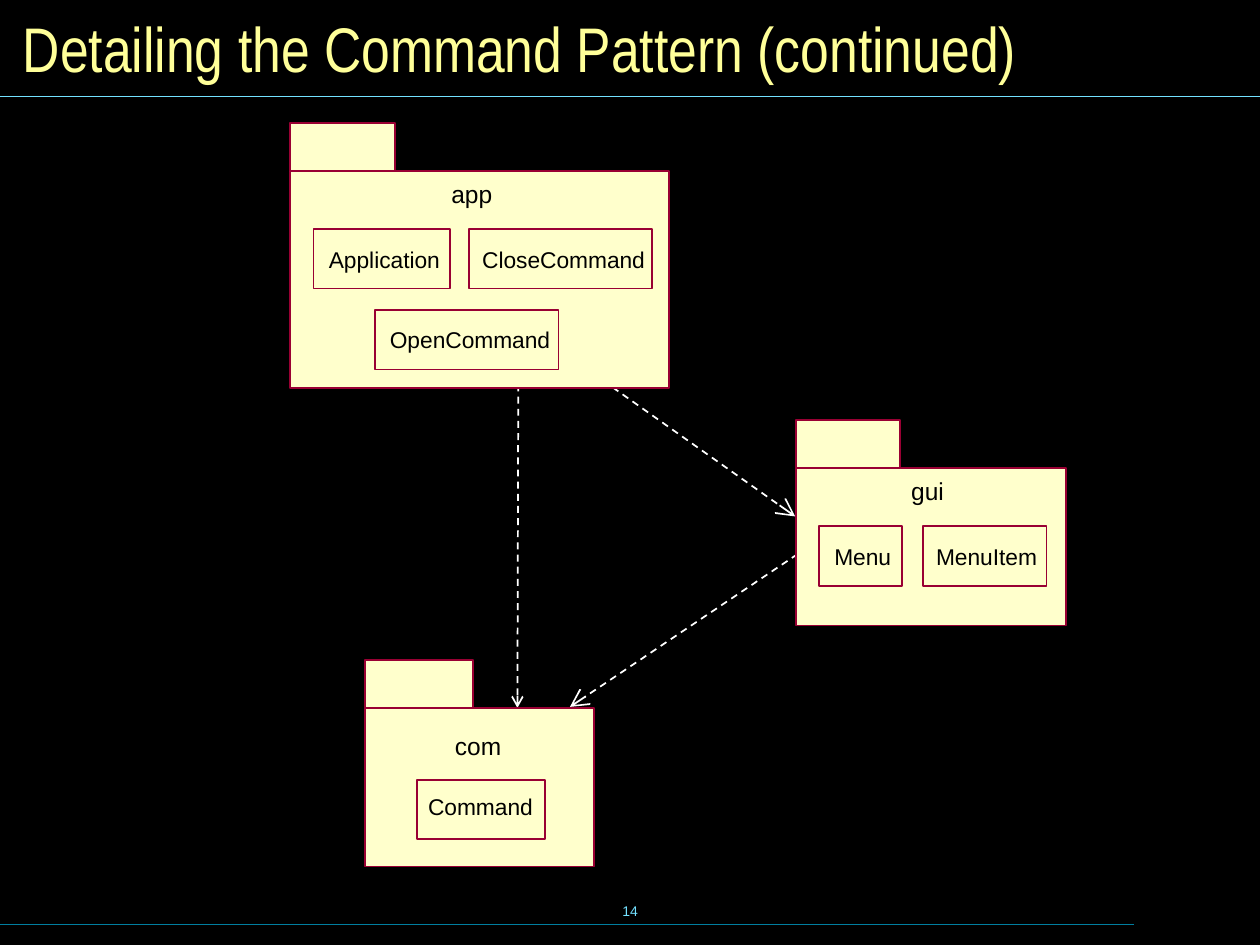
from dataclasses import dataclass

import pptx
import pptx.dml.color
import pptx.enum.dml
import pptx.enum.shapes
import pptx.enum.text
import pptx.oxml
import pptx.oxml.ns
import pptx.util

Cm, Pt = pptx.util.Cm, pptx.util.Pt
RGB = pptx.dml.color.RGBColor.from_string
RECT = pptx.enum.shapes.MSO_SHAPE.RECTANGLE
ALIGN = pptx.enum.text.PP_ALIGN
ANCHOR = pptx.enum.text.MSO_ANCHOR
AUTO = pptx.enum.text.MSO_AUTO_SIZE


@dataclass(frozen=True)
class Theme:
    back: str = "000000"
    title: str = "FFFF99"
    rule: str = "73E1FF"
    foot: str = "007E9F"
    arrow: str = "FFFFFF"
    fill: str = "FFFFCC"
    edge: str = "990033"
    ink: str = "000000"
    font: str = "Arial"
    narrow: str = "Arial Narrow"
    head: int = 36
    pack: int = 14
    item: int = 13
    page: int = 8


theme = Theme()
deck = pptx.Presentation()
deck.slide_width, deck.slide_height = Cm(25.4), Cm(19.05)
slide = deck.slides.add_slide(deck.slide_layouts[6])
slide.background.fill.solid()
slide.background.fill.fore_color.rgb = RGB(theme.back)
shapes = slide.shapes


def write(words, spot, size, color, font=theme.font, tight=True):
    """Add a text box; a tight one has no insets and fits its text."""
    box = shapes.add_textbox(*map(Cm, spot))
    frame = box.text_frame
    frame.word_wrap = not tight
    if tight:
        frame.margin_left = frame.margin_right = 0
        frame.margin_top = frame.margin_bottom = 0
        frame.auto_size = AUTO.SHAPE_TO_FIT_TEXT
    else:
        frame.vertical_anchor = ANCHOR.MIDDLE
    run = frame.paragraphs[0].add_run()
    run.text = words
    run.font.size, run.font.name = Pt(size), font
    run.font.color.rgb = RGB(color)
    return frame.paragraphs[0]


def link(ends, color, width):
    line = shapes.add_connector(
        pptx.enum.shapes.MSO_CONNECTOR.STRAIGHT, *map(Cm, ends))
    line.line.color.rgb = RGB(color)
    line.line.width = Pt(width)
    line._element.spPr.append(pptx.oxml.parse_xml(
        f"<a:effectLst {pptx.oxml.ns.nsdecls('a')}/>"))
    return line


# Page frame
page = write("14", (8.68, 17.73, 8.05, 1.27), theme.page, theme.rule, tight=False)
page.alignment = ALIGN.CENTER
link((0, 18.63, 22.86, 18.63), theme.foot, 0.75)
link((0, 1.94, 25.4, 1.94), theme.rule, 0.75)
write("Detailing the Command Pattern (continued)", (0.21, 0.22, 25, 1.47),
      theme.head, theme.title, theme.narrow, tight=False)

# Dependencies: gui to com, app to gui, app to com
for ends, size in (((16.08, 11.17, 11.49, 14.25), "lg"),
                   ((11.15, 6.96, 16.03, 10.41), "lg"),
                   ((10.45, 7.26, 10.43, 14.27), "med")):
    line = link(ends, theme.arrow, 1)
    line.line.dash_style = pptx.enum.dml.MSO_LINE.DASH
    line.line._get_or_add_ln().append(pptx.oxml.parse_xml(
        f"<a:tailEnd {pptx.oxml.ns.nsdecls('a')} type='arrow'"
        f" w='{size}' len='{size}'/>"))

# Packages: body, tab width, name and its place, classes
# Class: name, box left, top and width, text left, top and width
packs = (
    ((5.84, 3.45, 7.65, 4.37), 2.12, "app", (9.1, 3.61, 0.86), (
        ("Application", (6.32, 4.62, 2.76), (6.63, 4.95, 2.3)),
        ("CloseCommand", (9.45, 4.62, 3.69), (9.72, 4.95, 3.34)),
        ("OpenCommand", (7.56, 6.25, 3.7), (7.86, 6.56, 3.29)))),
    ((16.05, 9.44, 5.44, 3.17), 2.1, "gui", (18.37, 9.6, 0.7), (
        ("Menu", (16.51, 10.61, 1.68), (16.82, 10.95, 1.22)),
        ("MenuItem", (18.61, 10.61, 2.49), (18.87, 10.95, 2.11)))),
    ((7.36, 14.27, 4.62, 3.2), 2.18, "com", (9.17, 14.73, 0.98), (
        ("Command", (8.4, 15.72, 2.59), (8.63, 15.98, 2.17)),)),
)
TAB, ROW = 0.97, 1.2

for body, wide, name, spot, items in packs:
    left, top = body[:2]
    boxes = [(body, True), ((left, top - TAB, wide, TAB), True)]
    boxes += [((*box, ROW), False) for _, box, _ in items]
    for place, solid in boxes:
        rect = shapes.add_shape(RECT, *map(Cm, place))
        rect.shadow.inherit = False
        rect.line.color.rgb = RGB(theme.edge)
        rect.line.width = Pt(1)
        if solid:
            rect.fill.solid()
            rect.fill.fore_color.rgb = RGB(theme.fill)
        else:
            rect.fill.background()
    write(name, (*spot, 0.58), theme.pack, theme.ink)
    for label, _, place in items:
        write(label, (*place, 0.56), theme.item, theme.ink)

deck.save("out.pptx")
